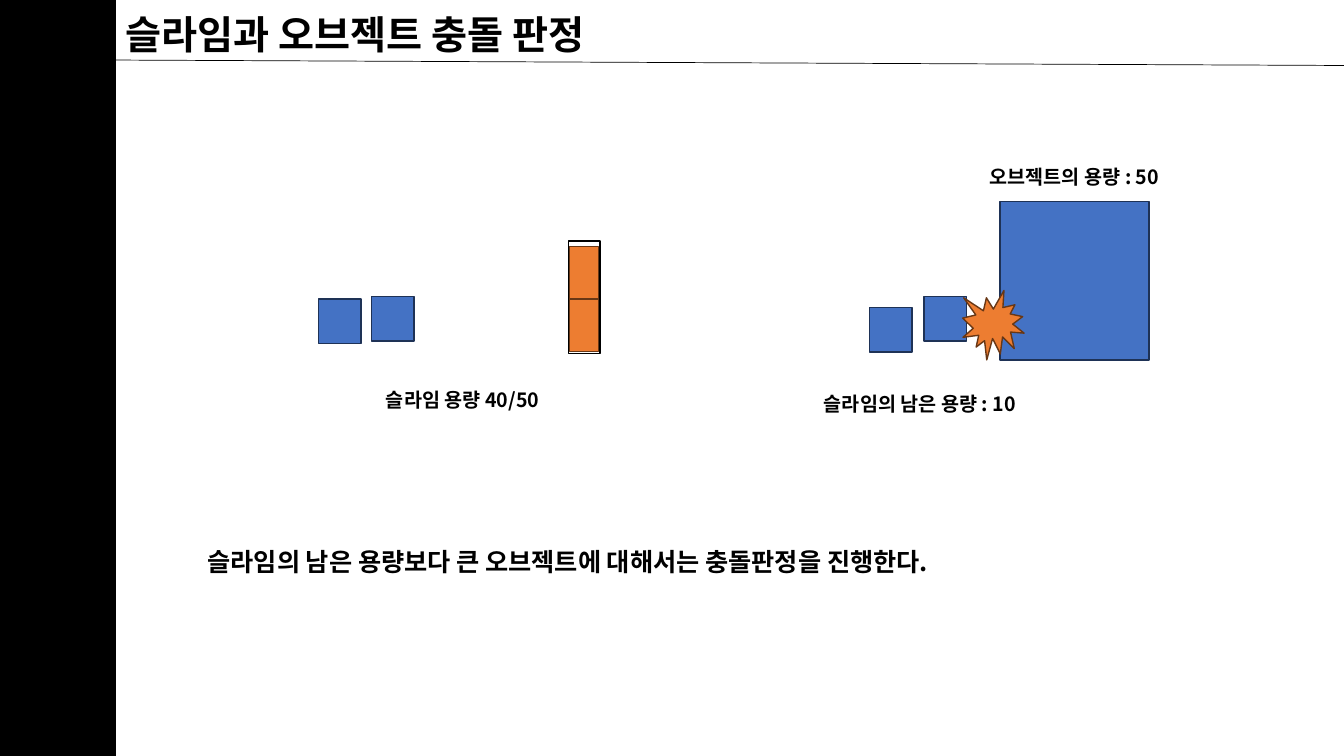
from dataclasses import dataclass
from typing import Optional

import lxml.etree
import pptx
import pptx.dml.color
import pptx.enum.shapes
import pptx.enum.text
import pptx.oxml.ns
import pptx.slide
import pptx.util

Cm = pptx.util.Cm
Pt = pptx.util.Pt
RGBColor = pptx.dml.color.RGBColor
Preset = pptx.enum.shapes.MSO_SHAPE
Align = pptx.enum.text.PP_ALIGN

FONT = "Noto Sans CJK KR"
BLACK = RGBColor(0x00, 0x00, 0x00)
BLUE = RGBColor(0x44, 0x72, 0xC4)
DARK_BLUE = RGBColor(0x1E, 0x32, 0x56)
ORANGE = RGBColor(0xED, 0x7D, 0x31)
DARK_ORANGE = RGBColor(0x68, 0x37, 0x15)

SLIDE_WIDTH, SLIDE_HEIGHT = 33.87, 19.05
SLIME_WIDTH, SLIME_HEIGHT = 1.07, 1.12
GAUGE_LEFT, GAUGE_TOP = 14.35, 6.22
UNIT_WIDTH, UNIT_HEIGHT = 0.74, 1.32


@dataclass
class Block:
    """A preset shape, measured in centimetres."""
    left: float
    top: float
    width: float
    height: float
    fill: Optional[RGBColor]
    line: RGBColor
    preset: Preset = Preset.RECTANGLE


@dataclass
class Label:
    """A line of bold text, measured in centimetres."""
    text: str
    left: float
    top: float
    width: float
    height: float = 0.86
    size: int = 14
    alignment: Align = Align.CENTER
    wrap: bool = False


def slime(left: float, top: float) -> Block:
    return Block(left, top, SLIME_WIDTH, SLIME_HEIGHT, BLUE, DARK_BLUE)


def gauge_unit(index: int) -> Block:
    top = GAUGE_TOP + index * UNIT_HEIGHT
    return Block(GAUGE_LEFT, top, UNIT_WIDTH, UNIT_HEIGHT, ORANGE, DARK_ORANGE)


BLOCKS = [
    # Slimes and capacity gauge on the left
    slime(9.37, 7.47),
    Block(14.33, 6.07, 0.79, 2.84, None, BLACK),
    gauge_unit(1),
    slime(8.03, 7.54),
    gauge_unit(0),
    # Slimes hitting the large object on the right
    slime(23.29, 7.47),
    slime(21.92, 7.75),
    Block(25.2, 5.08, 3.76, 3.99, BLUE, DARK_BLUE),
    Block(24.26, 7.32, 1.55, 1.75, ORANGE, DARK_ORANGE, Preset.EXPLOSION1),
    # Side bar
    Block(0, 0, 2.92, SLIDE_HEIGHT, BLACK, BLACK),
]

LABELS = [
    Label("슬라임과 오브젝트 충돌 판정", 2.92, 0.13, 13.54, 1.45, 28, Align.LEFT),
    Label("슬라임 용량 40/50", 9.3, 9.65, 4.72),
    Label("오브젝트의 용량 : 50", 24.46, 4.04, 5.23),
    Label("슬라임의 남은 용량 : 10", 20.24, 9.75, 5.89),
    Label("슬라임의 남은 용량보다 큰 오브젝트에 대해서는 충돌판정을 진행한다.",
          4.98, 13.64, 22.96, 1.02, 18, Align.LEFT, True),
]


def draw_block(slide: pptx.slide.Slide, block: Block) -> None:
    shape = slide.shapes.add_shape(
        block.preset, Cm(block.left), Cm(block.top), Cm(block.width), Cm(block.height))
    shape.shadow.inherit = False
    if block.fill is None:
        shape.fill.background()
    else:
        shape.fill.solid()
        shape.fill.fore_color.rgb = block.fill
    shape.line.color.rgb = block.line
    shape.line.width = Pt(1)


def draw_label(slide: pptx.slide.Slide, label: Label) -> None:
    shape = slide.shapes.add_textbox(
        Cm(label.left), Cm(label.top), Cm(label.width), Cm(label.height))
    text_frame = shape.text_frame
    text_frame.word_wrap = label.wrap
    text_frame.auto_size = pptx.enum.text.MSO_AUTO_SIZE.SHAPE_TO_FIT_TEXT
    text_frame.text = label.text
    paragraph = text_frame.paragraphs[0]
    paragraph.alignment = label.alignment
    font = paragraph.runs[0].font
    font.size = Pt(label.size)
    font.bold = True
    font.color.rgb = BLACK
    font.name = FONT
    # Hangul takes its typeface from the East Asian font
    properties = paragraph.runs[0]._r.get_or_add_rPr()
    east_asian = lxml.etree.SubElement(properties, pptx.oxml.ns.qn("a:ea"))
    east_asian.set("typeface", FONT)


def draw_title_rule(slide: pptx.slide.Slide) -> None:
    rule = slide.shapes.add_connector(
        pptx.enum.shapes.MSO_CONNECTOR.STRAIGHT,
        Cm(0), Cm(1.5), Cm(SLIDE_WIDTH), Cm(1.65))
    rule.line.color.rgb = BLACK
    rule.line.width = Pt(0.5)
    lxml.etree.SubElement(rule._element.spPr, pptx.oxml.ns.qn("a:effectLst"))


def main() -> None:
    presentation = pptx.Presentation()
    presentation.slide_width = Cm(SLIDE_WIDTH)
    presentation.slide_height = Cm(SLIDE_HEIGHT)
    slide = presentation.slides.add_slide(presentation.slide_layouts[6])

    draw_title_rule(slide)
    for block in BLOCKS:
        draw_block(slide, block)
    for label in LABELS:
        draw_label(slide, label)

    presentation.save("out.pptx")


if __name__ == "__main__":
    main()
